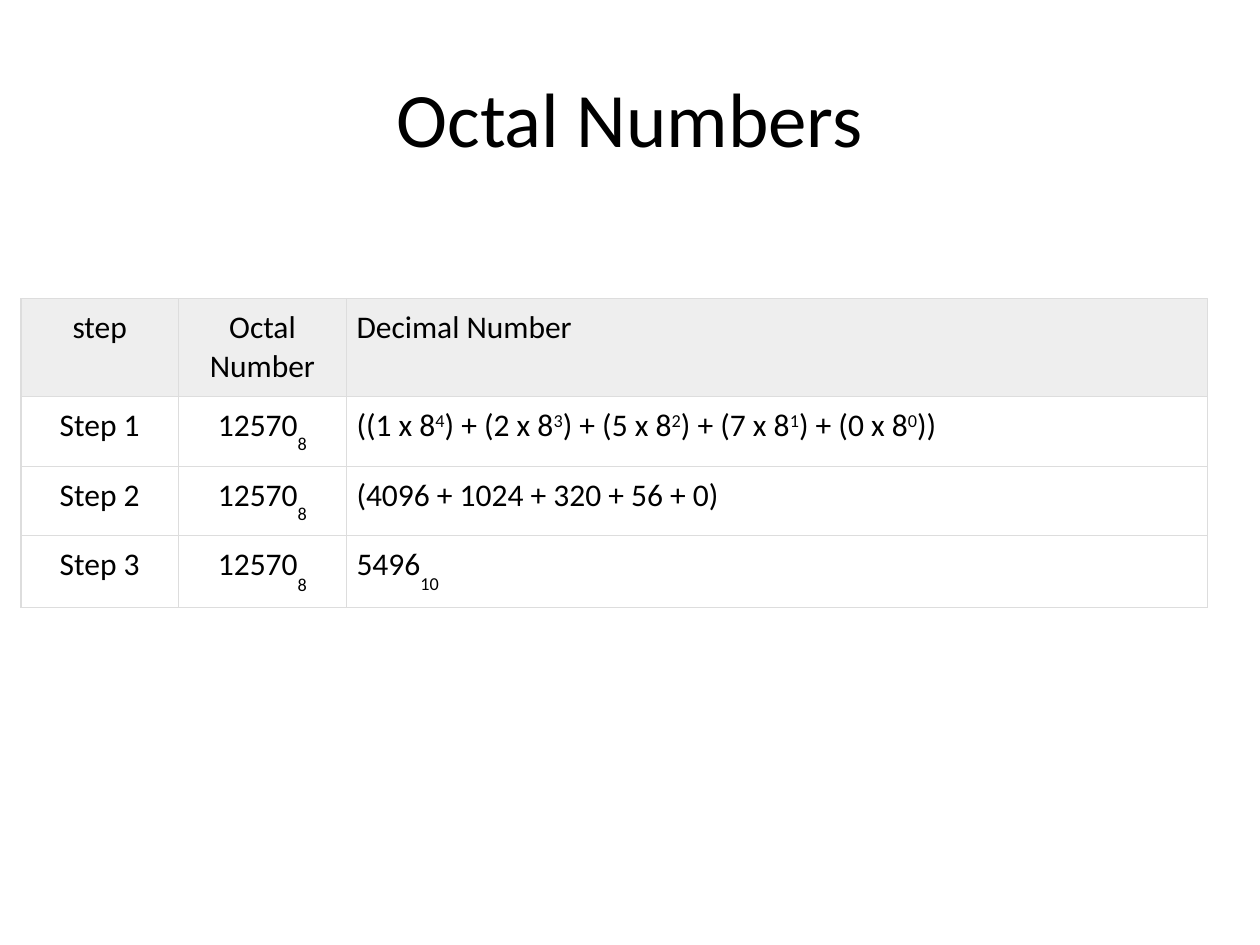
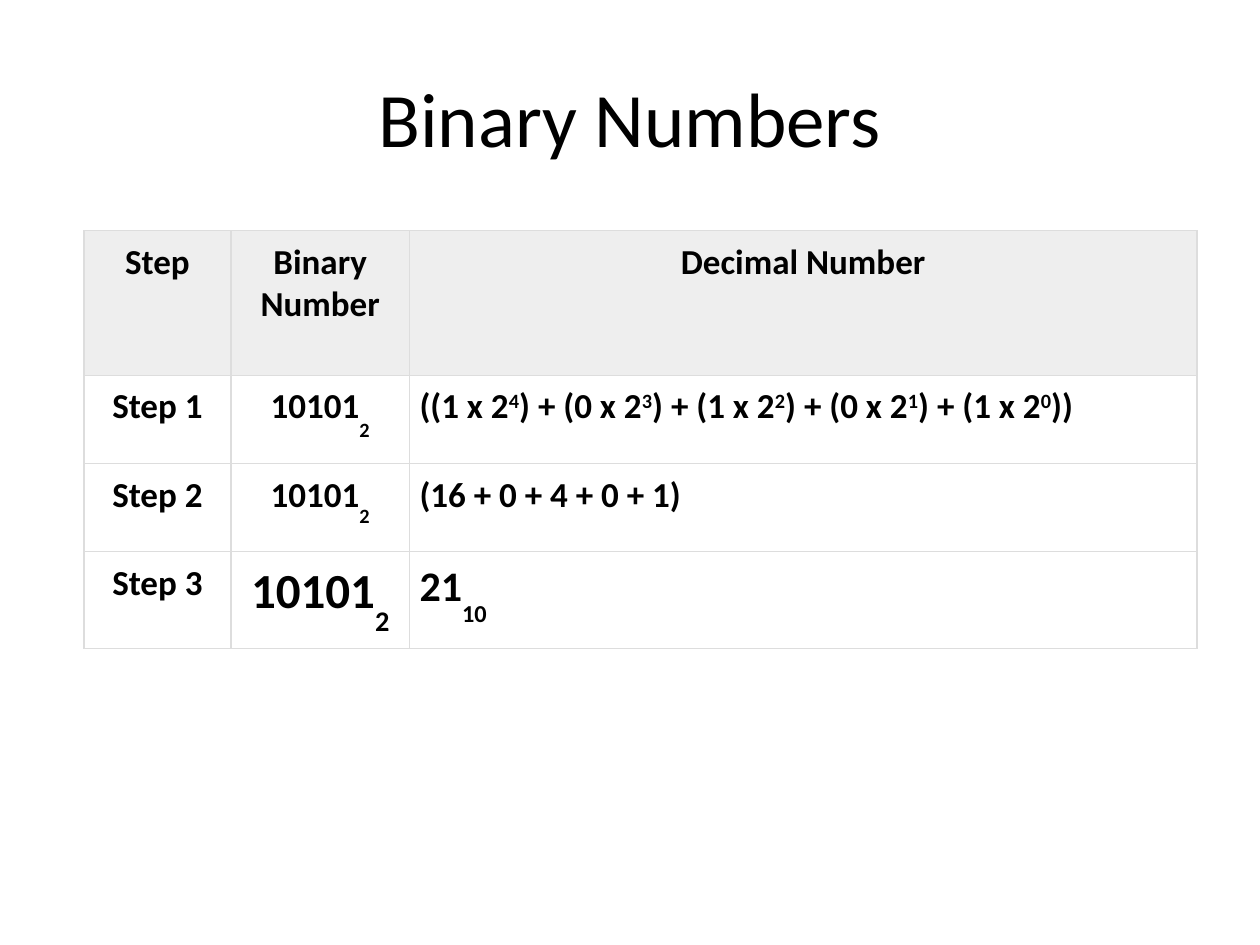
"""Build two slides that convert an octal and a binary number to decimal."""
import dataclasses

import lxml.etree
import pptx
import pptx.dml.color
import pptx.enum.text
import pptx.oxml.ns
import pptx.util


@dataclasses.dataclass(frozen=True)
class Theme:
    font: str = "Calibri"
    text: str = "000000"
    header: str = "EEEEEE"
    body: str = "FFFFFF"
    border: str = "DDDDDD"
    title_size: int = 44
    border_width: float = 0.75
    cell_inset: float = 0.08


theme = Theme()
CENTER = pptx.enum.text.PP_ALIGN.CENTER
LEFT = pptx.enum.text.PP_ALIGN.LEFT
MIDDLE = pptx.enum.text.MSO_ANCHOR.MIDDLE


def write(paragraph, pieces, size, bold, alignment):
    """Write (text, baseline percent) pieces as the runs of a paragraph."""
    paragraph.alignment = alignment
    for text, baseline in pieces:
        run = paragraph.add_run()
        run.text = text
        for name, value in {"name": theme.font, "size": pptx.util.Pt(size), "bold": bold}.items():
            setattr(run.font, name, value)
        run.font.color.rgb = pptx.dml.color.RGBColor.from_string(theme.text)
        if baseline:
            run._r.get_or_add_rPr().set("baseline", str(baseline * 1000))


def style_cell(cell, fill):
    """Give a cell its insets, thin borders and fill."""
    for side in ("left", "right", "top", "bottom"):
        setattr(cell, f"margin_{side}", pptx.util.Inches(theme.cell_inset))
    properties = cell._tc.get_or_add_tcPr()
    qn = pptx.oxml.ns.qn
    for edge in ("a:lnL", "a:lnR", "a:lnT", "a:lnB"):
        line = lxml.etree.SubElement(properties, qn(edge), w=str(pptx.util.Pt(theme.border_width)))
        solid = lxml.etree.SubElement(line, qn("a:solidFill"))
        lxml.etree.SubElement(solid, qn("a:srgbClr"), val=theme.border)
    cell.fill.solid()
    cell.fill.fore_color.rgb = pptx.dml.color.RGBColor.from_string(fill)


conversions = [
    {
        "system": "Octal", "number": "12570", "base": 8, "step": "step",
        "left": 1, "top": 47.4, "columns": [7.5, 8, 41], "rows": [15.6, 11, 11, 11.4],
        "size": 18, "bold": False, "result_sizes": [18, 18, 18],
        "header_alignment": LEFT, "number_drops": [-42, -44, -50], "result_drop": -48,
    },
    {
        "system": "Binary", "number": "10101", "base": 2, "step": "Step",
        "left": 4, "top": 36.6, "columns": [7, 8.5, 37.5], "rows": [23, 14, 14, 14],
        "size": 20, "bold": True, "result_sizes": [20, 28, 24],
        "header_alignment": CENTER, "number_drops": [-54, -48, -46], "result_drop": -50,
    },
]

presentation = pptx.Presentation()
presentation.slide_width = pptx.util.Inches(10)
presentation.slide_height = pptx.util.Inches(7.5)
column_unit = presentation.slide_width / 60
row_unit = presentation.slide_height / 150

for conversion in conversions:
    slide = presentation.slides.add_slide(presentation.slide_layouts[5])
    title = slide.shapes.title
    placement = {"left": 3 * column_unit, "top": 6 * row_unit,
                 "width": 54 * column_unit, "height": 25 * row_unit}
    for name, value in placement.items():
        setattr(title, name, round(value))
    title.text_frame.vertical_anchor = MIDDLE
    write(title.text_frame.paragraphs[0], [(f"{conversion['system']} Numbers", 0)],
          theme.title_size, False, CENTER)

    number, base = conversion["number"], conversion["base"]
    powers = range(len(number) - 1, -1, -1)
    values = [int(digit) * base ** power for digit, power in zip(number, powers)]
    expansion = []
    opening = "(("
    for digit, power in zip(number, powers):
        expansion += [(f"{opening}{digit} x {base}", 0), (str(power), 30)]
        opening = ") + ("
    expansion.append(("))", 0))
    total = " + ".join(str(value) for value in values)
    results = [expansion, [(f"({total})", 0)],
               [(str(sum(values)), 0), ("10", conversion["result_drop"])]]

    contents = [[[(conversion["step"], 0)], [(f"{conversion['system']} Number", 0)],
                 [("Decimal Number", 0)]]]
    for step, (drop, result) in enumerate(zip(conversion["number_drops"], results), 1):
        contents.append([[(f"Step {step}", 0)], [(number, 0), (str(base), drop)], result])

    columns, rows = conversion["columns"], conversion["rows"]
    table = slide.shapes.add_table(
        len(rows), len(columns),
        round(conversion["left"] * column_unit), round(conversion["top"] * row_unit),
        round(sum(columns) * column_unit), round(sum(rows) * row_unit)).table
    table.first_row = table.horz_banding = False
    for column, share in zip(table.columns, columns):
        column.width = round(share * column_unit)
    for row, share in zip(table.rows, rows):
        row.height = round(share * row_unit)

    for row_index, row_contents in enumerate(contents):
        is_header, is_result = row_index == 0, row_index == len(rows) - 1
        for column_index, pieces in enumerate(row_contents):
            cell = table.cell(row_index, column_index)
            style_cell(cell, theme.header if is_header else theme.body)
            size = conversion["result_sizes"][column_index] if is_result else conversion["size"]
            last_alignment = conversion["header_alignment"] if is_header else LEFT
            alignment = last_alignment if column_index == len(columns) - 1 else CENTER
            write(cell.text_frame.paragraphs[0], pieces, size, conversion["bold"], alignment)

presentation.save("out.pptx")
